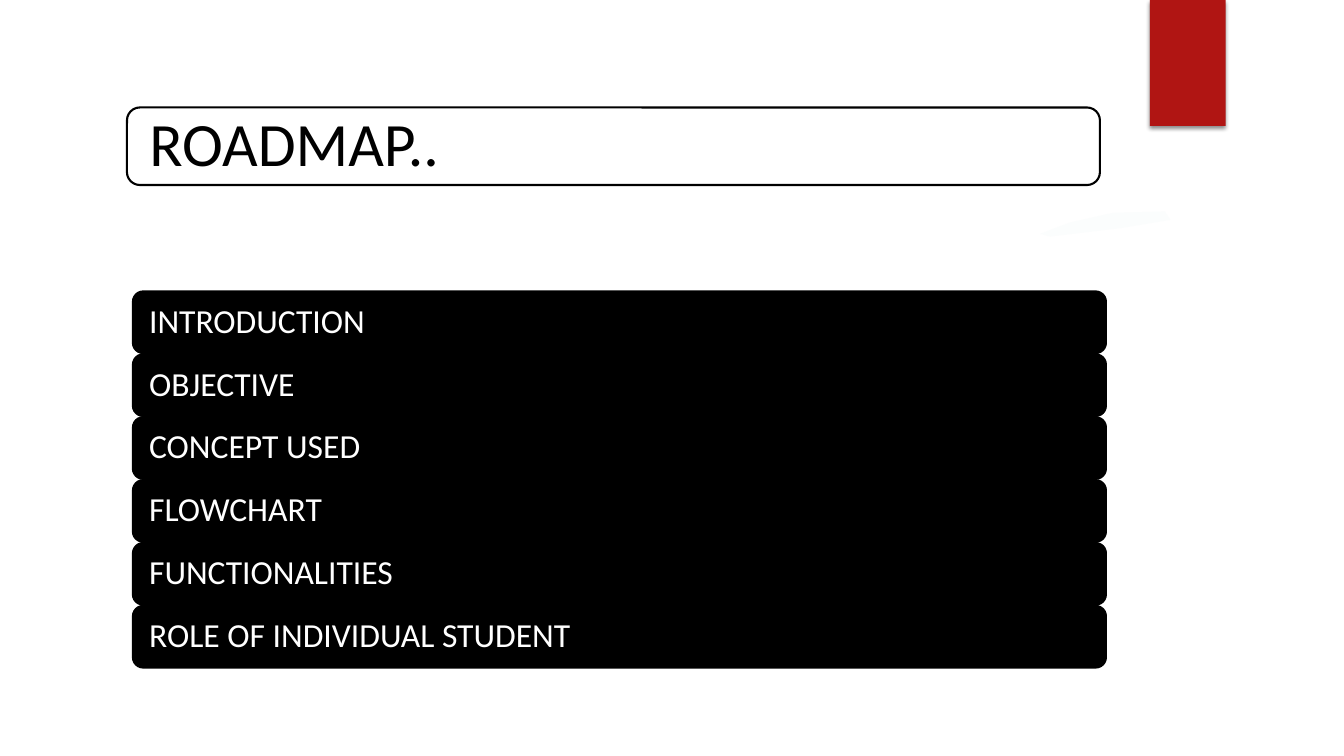
from dataclasses import dataclass

from lxml import etree
from pptx import Presentation
from pptx.dml.color import RGBColor
from pptx.enum import shapes, text
from pptx.oxml import ns
from pptx.util import Pt

BLACK, WHITE, RED, GLINT = "000000", "FFFFFF", "B01513", "FBFDFD"
BAR_TOP, BAR_STEP = 208.2, 44.93
TOPICS = ["INTRODUCTION", "OBJECTIVE", "CONCEPT USED", "FLOWCHART",
          "FUNCTIONALITIES", "ROLE OF INDIVIDUAL STUDENT"]
SWEEP = [(750, 169), (743, 167), (764, 159), (795, 152), (832, 151),
         (836, 157), (800, 163)]


@dataclass
class Box:
    left: float
    top: float
    width: float
    height: float
    fill: str
    line: str | None = None
    kind: int = shapes.MSO_SHAPE.ROUNDED_RECTANGLE


def paint(part, colour: str) -> None:
    """Give a fill or a font one solid colour."""
    if hasattr(part, "solid"):
        part.solid()
        part.fore_color.rgb = RGBColor.from_string(colour)
    else:
        part.color.rgb = RGBColor.from_string(colour)


def draw(slide, box: Box):
    shape = slide.shapes.add_shape(box.kind, Pt(box.left), Pt(box.top),
                                   Pt(box.width), Pt(box.height))
    shape.shadow.inherit = False
    paint(shape.fill, box.fill)
    if box.line:
        paint(shape.line.fill, box.line)
        shape.line.width = Pt(1.5)
    else:
        shape.line.fill.background()
    return shape


def write(shape, words: str, size: float, inset: float, colour: str) -> None:
    frame = shape.text_frame
    frame.text = words
    form = {"word_wrap": True, "auto_size": text.MSO_AUTO_SIZE.NONE,
            "vertical_anchor": text.MSO_ANCHOR.MIDDLE,
            "margin_left": Pt(inset), "margin_right": Pt(inset),
            "margin_top": 0, "margin_bottom": 0}
    for name, value in form.items():
        setattr(frame, name, value)
    line = frame.paragraphs[0]
    line.alignment = text.PP_ALIGN.LEFT
    line.line_spacing = 0.9
    font = line.runs[0].font
    font.name, font.size = "Calibri", Pt(size)
    paint(font, colour)


def shade(shape) -> None:
    """Add a soft shadow below the shape."""
    effects = shape.element.spPr.find(ns.qn("a:effectLst"))
    drop = etree.SubElement(effects, ns.qn("a:outerShdw"), blurRad=str(Pt(3)),
                            dist=str(Pt(2)), dir="5400000", rotWithShape="0")
    tint = etree.SubElement(drop, ns.qn("a:srgbClr"), val=BLACK)
    etree.SubElement(tint, ns.qn("a:alpha"), val="45000")


def sweep(slide) -> None:
    """Draw the faint glint under the ribbon."""
    path = slide.shapes.build_freeform(*SWEEP[0], scale=Pt(1))
    path.add_line_segments(SWEEP[1:], close=True)
    shape = path.convert_to_shape()
    shape.shadow.inherit = False
    paint(shape.fill, GLINT)
    shape.line.fill.background()


def main() -> None:
    deck = Presentation()
    deck.slide_width, deck.slide_height = Pt(960), Pt(540)
    slide = deck.slides.add_slide(deck.slide_layouts[5])

    sweep(slide)
    shade(draw(slide, Box(821.4, 0, 54, 90, RED,
                          kind=shapes.MSO_SHAPE.RECTANGLE)))

    draw(slide, Box(90.7, 76.8, 695, 55.4, WHITE, BLACK))
    title = slide.shapes.title
    place = {"left": 93.6, "top": 79.2, "width": 689.8, "height": 50.4}
    for name, value in place.items():
        setattr(title, name, Pt(value))
    write(title, "ROADMAP..", 44, 13, BLACK)
    slide.shapes.element.append(title.element)

    for row, topic in enumerate(TOPICS):
        bar = draw(slide, Box(95, BAR_TOP + row * BAR_STEP, 695, 44,
                              BLACK, BLACK))
        write(bar, topic, 24, 9.4, WHITE)

    deck.save("out.pptx")


if __name__ == "__main__":
    main()
